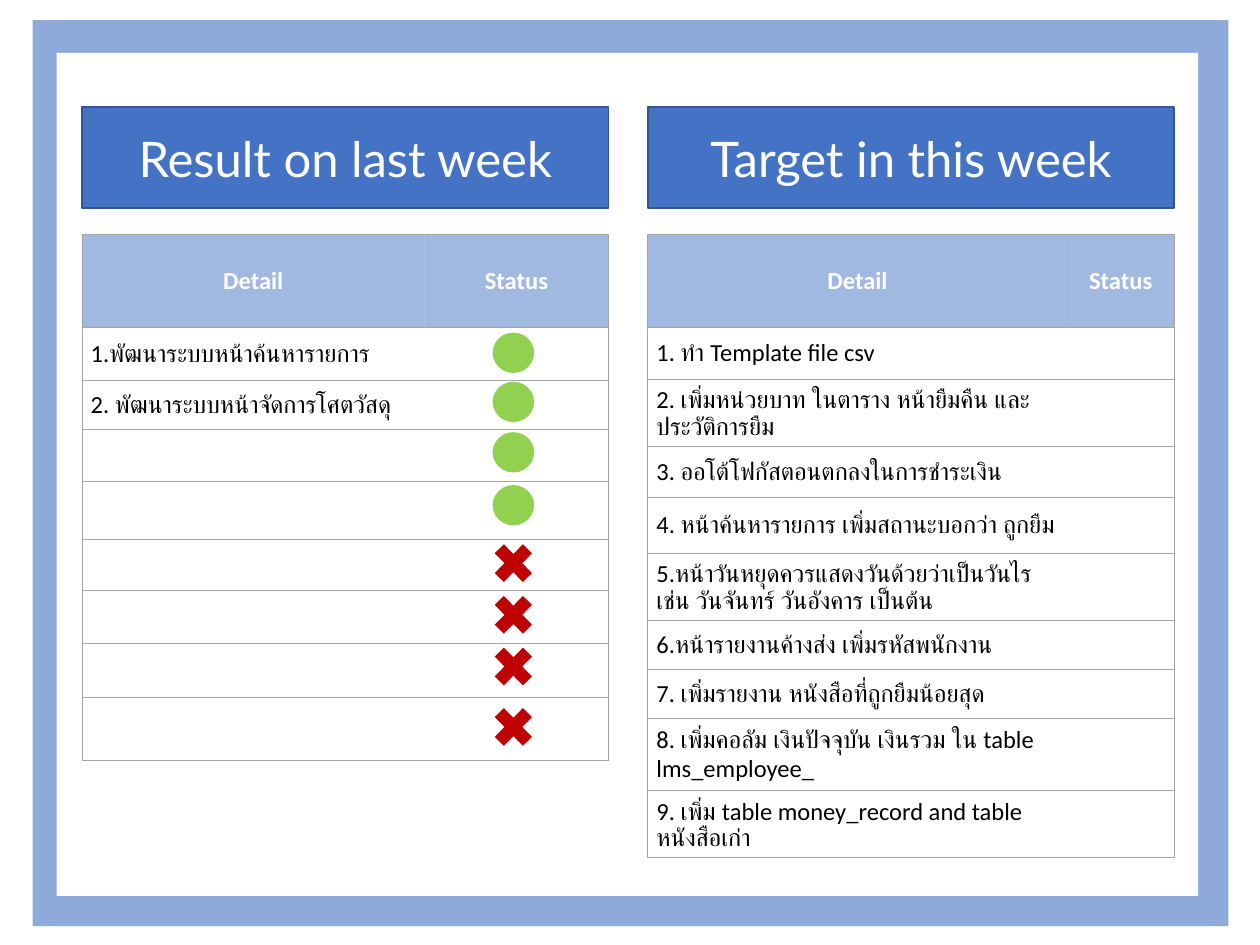
import pptx
import pptx.util
import pptx.dml.color
import pptx.enum.shapes
import pptx.enum.text
import pptx.oxml
import pptx.oxml.ns
import lxml.etree

RGBColor = pptx.dml.color.RGBColor
BLUE = RGBColor(0x44, 0x72, 0xC4)
DARK_BLUE = RGBColor(0x32, 0x54, 0x91)
WHITE = RGBColor(0xFF, 0xFF, 0xFF)
BLACK = RGBColor(0x00, 0x00, 0x00)
GRAY = RGBColor(0xA5, 0xA5, 0xA5)
GREEN = RGBColor(0x92, 0xD0, 0x50)
RED = RGBColor(0xC0, 0x00, 0x00)

SHAPE = pptx.enum.shapes.MSO_SHAPE
ALIGN = pptx.enum.text.PP_ALIGN
MIDDLE = pptx.enum.text.MSO_ANCHOR.MIDDLE
qn = pptx.oxml.ns.qn

TITLE_FONT = {"name": "Lato", "size": pptx.util.Pt(28)}
HEADER_FONT = {"name": "Calibri", "size": pptx.util.Pt(14), "bold": True}
BODY_FONT = {"name": "Calibri", "size": pptx.util.Pt(14), "bold": False}

presentation = pptx.Presentation()
presentation.slide_width = pptx.util.Inches(10)
presentation.slide_height = pptx.util.Inches(7.5)
slide = presentation.slides.add_slide(presentation.slide_layouts[6])
column = presentation.slide_width / 100
row = presentation.slide_height / 75


def paint(target, element, color, opacity=100):
    target.fill.solid()
    target.fill.fore_color.rgb = color
    if opacity < 100:
        color_element = list(element.iter(qn("a:srgbClr")))[-1]
        lxml.etree.SubElement(color_element, qn("a:alpha"), val=str(opacity * 1000))


def write(text_frame, text, alignment, color, font_format):
    paragraph = text_frame.paragraphs[0]
    paragraph.alignment = alignment
    run = paragraph.add_run()
    run.text = text
    run.font.color.rgb = color
    for name, value in font_format.items():
        setattr(run.font, name, value)


frame = slide.shapes.add_group_shape().shapes
blocks = [
    (frame, SHAPE.RECTANGLE, 2.6, 1.6, 94.9, 71.9, BLUE, 60, None),
    (frame, SHAPE.RECTANGLE, 4.5, 4.2, 90.6, 66.9, WHITE, 100, None),
    (slide.shapes, SHAPE.RECTANGLE, 6.5, 8.5, 41.8, 8, BLUE, 100, "Result on last week"),
    (slide.shapes, SHAPE.RECTANGLE, 51.4, 8.5, 41.8, 8, BLUE, 100, "Target in this week"),
]

tables = [
    (6.5, [27.2, 14.6], [7.4, 4.2, 3.9, 4.1, 4.6, 4.1, 4.2, 4.3, 5], [
        "1.พัฒนาระบบหน้าค้นหารายการ",
        "2. พัฒนาระบบหน้าจัดการโศตวัสดุ",
    ]),
    (51.4, [33.3, 8.5], [7.4, 4.1, 4.2, 4.1, 4.4, 3.9, 3.9, 3.9, 3.9, 3.9], [
        "1. ทำ Template file csv",
        "2. เพิ่มหน่วยบาท ในตาราง หน้ายืมคืน และประวัติการยืม",
        "3. ออโต้โฟกัสตอนตกลงในการชำระเงิน",
        "4. หน้าค้นหารายการ เพิ่มสถานะบอกว่า ถูกยืม",
        "5.หน้าวันหยุดควรแสดงวันด้วยว่าเป็นวันไร เช่น วันจันทร์ วันอังคาร เป็นต้น",
        "6.หน้ารายงานค้างส่ง เพิ่มรหัสพนักงาน",
        "7. เพิ่มรายงาน หนังสือที่ถูกยืมน้อยสุด",
        "8. เพิ่มคอลัม เงินปัจจุบัน เงินรวม ใน table lms_employee_",
        "9. เพิ่ม table money_record and table หนังสือเก่า",
    ]),
]

for left, widths, heights, details in tables:
    table = slide.shapes.add_table(
        len(heights), len(widths), int(left * column), int(18.6 * row),
        int(sum(widths) * column), int(sum(heights) * row)).table
    for table_column, width in zip(table.columns, widths):
        table_column.width = int(width * column)
    for table_row, height in zip(table.rows, heights):
        table_row.height = int(height * row)
    for row_index in range(len(heights)):
        for column_index in range(len(widths)):
            cell = table.cell(row_index, column_index)
            is_header = row_index == 0
            if is_header:
                text = ("Detail", "Status")[column_index]
            elif column_index == 0 and row_index <= len(details):
                text = details[row_index - 1]
            else:
                text = ""
            vertical_margin = pptx.util.Inches(0.05 if text else 0)
            cell_format = {
                "vertical_anchor": MIDDLE,
                "margin_left": pptx.util.Inches(0.07),
                "margin_right": pptx.util.Inches(0.07),
                "margin_top": vertical_margin,
                "margin_bottom": vertical_margin,
            }
            for name, value in cell_format.items():
                setattr(cell, name, value)
            if text:
                write(cell.text_frame, text, ALIGN.CENTER if is_header else ALIGN.LEFT,
                      WHITE if is_header else BLACK, HEADER_FONT if is_header else BODY_FONT)
            properties = cell._tc.get_or_add_tcPr()
            hidden_side = ("a:lnR", "a:lnL")[column_index]
            for side in ("a:lnL", "a:lnR", "a:lnT", "a:lnB"):
                border = lxml.etree.SubElement(properties, qn(side), w=str(pptx.util.Pt(0.5)))
                if side == hidden_side:
                    lxml.etree.SubElement(border, qn("a:noFill"))
                else:
                    border_fill = lxml.etree.SubElement(border, qn("a:solidFill"))
                    lxml.etree.SubElement(border_fill, qn("a:srgbClr"), val=str(GRAY))
            if is_header:
                paint(cell, properties, BLUE, 50)
            else:
                cell.fill.background()

for top in (26.4, 30.3, 34.3, 38.5):
    blocks.append((slide.shapes, SHAPE.OVAL, 39.1, top, 3.3, 3.2, GREEN, 100, None))
for top in (42.5, 46.6, 50.7, 55.5):
    blocks.append((slide.shapes, SHAPE.MATH_MULTIPLY, 38.6, top, 4.3, 4.4, RED, 100, None))

for shapes, kind, left, top, width, height, color, opacity, title in blocks:
    shape = shapes.add_shape(kind, int(left * column), int(top * row),
                             int(width * column), int(height * row))
    shape.shadow.inherit = False
    paint(shape, shape._element, color, opacity)
    if title:
        shape.line.color.rgb = DARK_BLUE
        shape.line.width = pptx.util.Pt(1)
        shape.text_frame.vertical_anchor = MIDDLE
        write(shape.text_frame, title, ALIGN.CENTER, WHITE, TITLE_FONT)
    else:
        shape.line.fill.background()

presentation.save("out.pptx")
